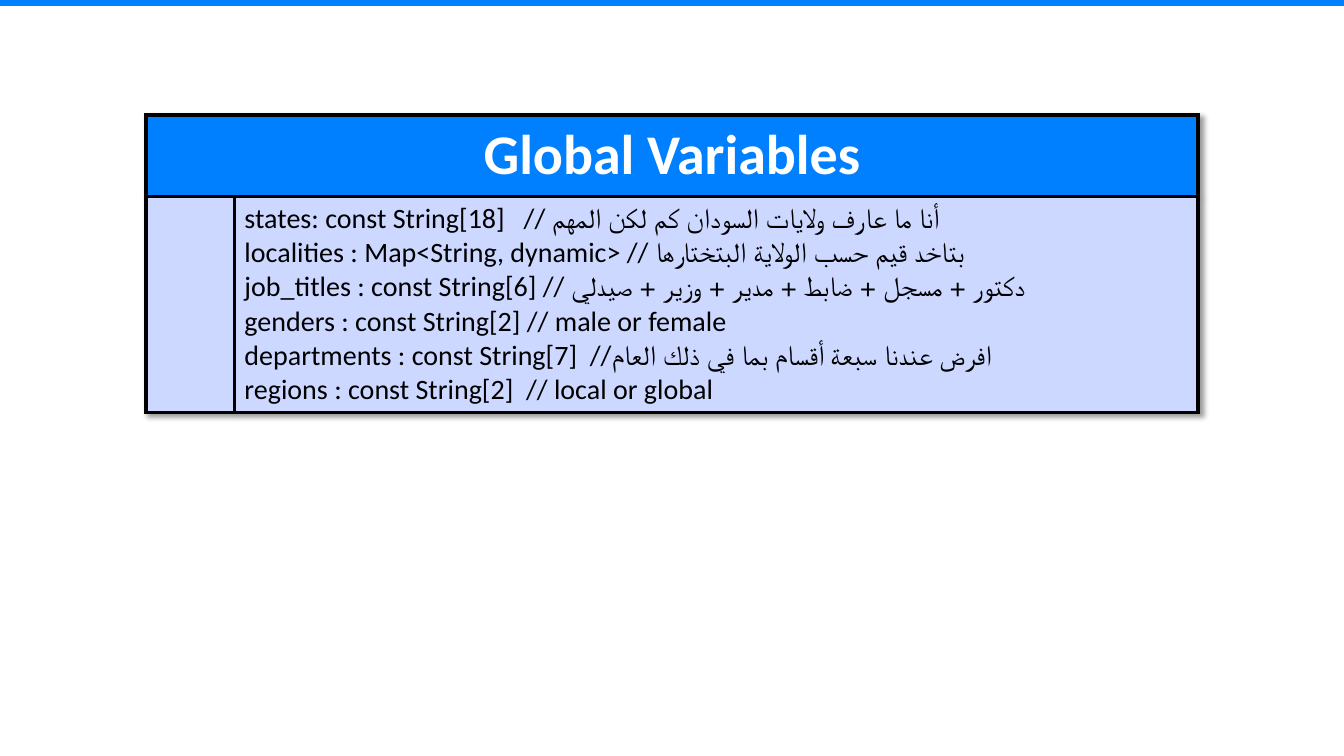
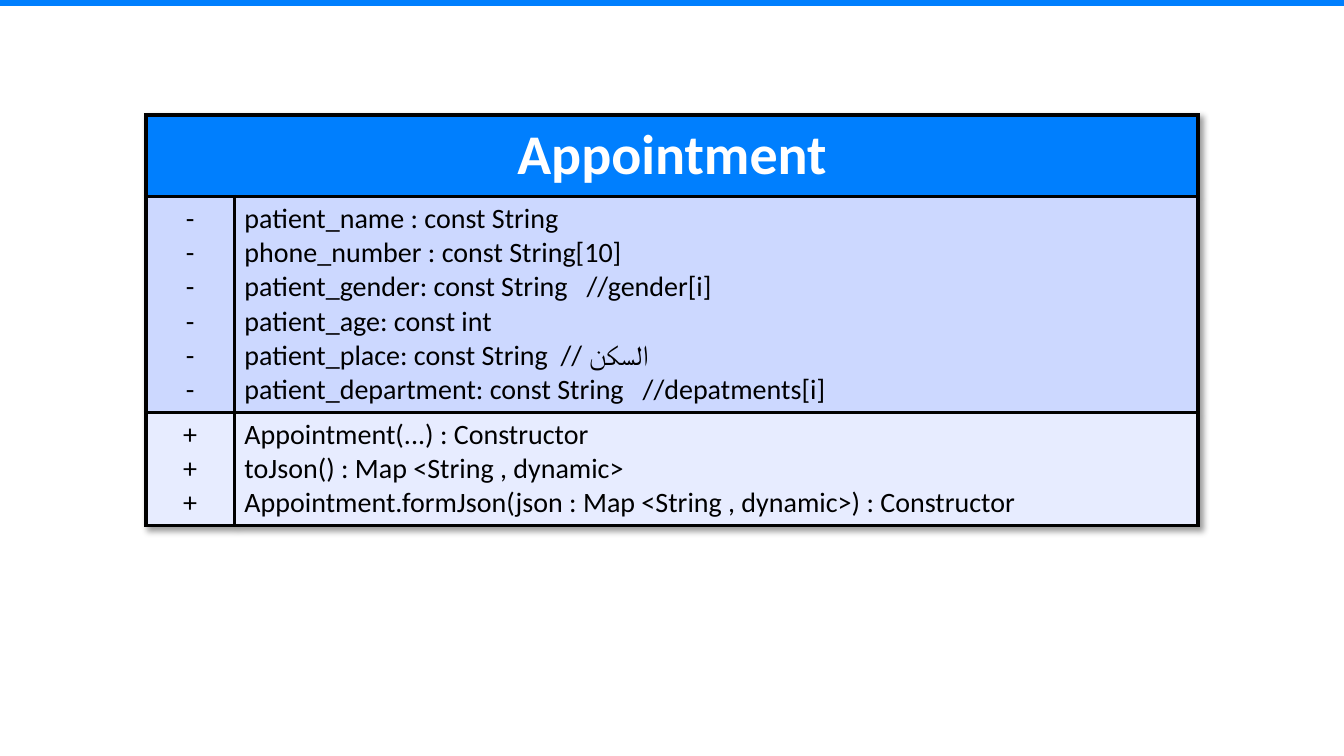
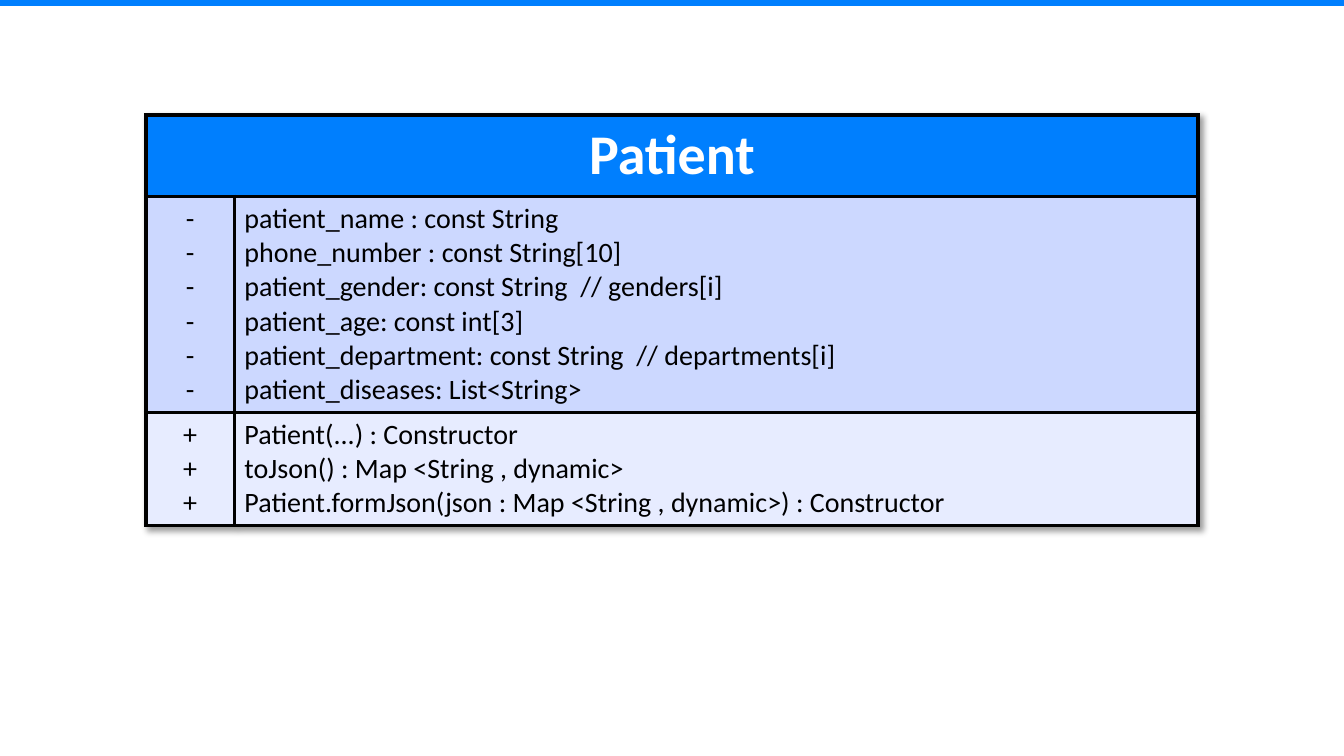
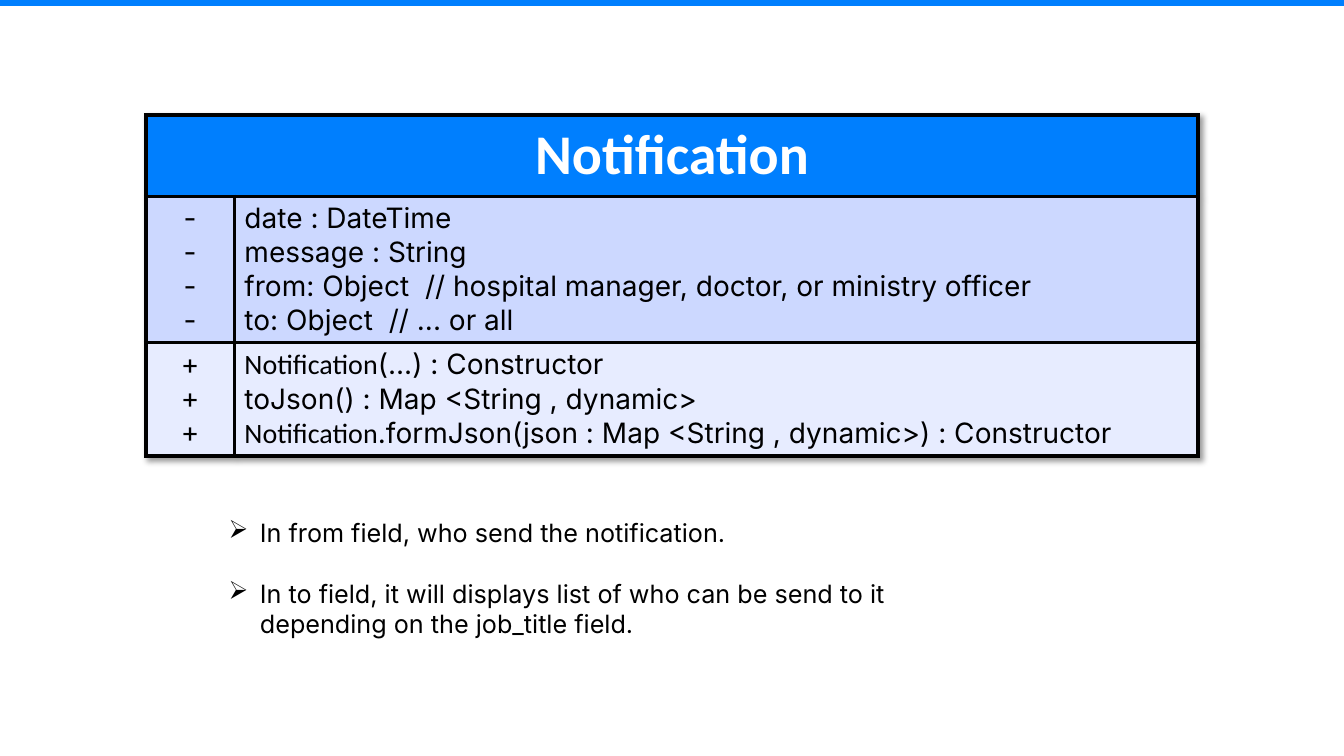
from dataclasses import dataclass

import lxml.etree
import pptx
import pptx.dml.color
import pptx.enum.shapes
import pptx.enum.text
import pptx.oxml
import pptx.oxml.ns
import pptx.presentation
import pptx.shapes.autoshape
import pptx.slide
import pptx.table
import pptx.text.text
import pptx.util

BLUE = pptx.dml.color.RGBColor(0x00, 0x7F, 0xFE)
FIELD_FILL = pptx.dml.color.RGBColor(0xCC, 0xD8, 0xFF)
METHOD_FILL = pptx.dml.color.RGBColor(0xE7, 0xEC, 0xFF)
BLACK = pptx.dml.color.RGBColor(0x00, 0x00, 0x00)
WHITE = pptx.dml.color.RGBColor(0xFF, 0xFF, 0xFF)

TITLE_FONT = "Calibri"
NOTE_FONT = "Inter"

SLIDE_WIDTH, SLIDE_HEIGHT = 13.33, 7.5
BAND_HEIGHT = 0.06
COLUMN_WIDTHS = (0.88, 9.56)
TABLE_WIDTH = sum(COLUMN_WIDTHS)
TABLE_LEFT = (SLIDE_WIDTH - TABLE_WIDTH) / 2
TABLE_TOP = 1.14
TITLE_ROW_HEIGHT = 0.81
LINE_HEIGHT = 0.33
CELL_PADDING = 0.1
BORDER_POINTS = 3
NOTE_INDENT = 0.31

SHADOW = (
    f'<a:effectLst {pptx.oxml.ns.nsdecls("a")}>'
    '<a:outerShdw blurRad="50800" dist="38100" dir="2700000" algn="tl" rotWithShape="0">'
    '<a:prstClr val="black"><a:alpha val="40000"/></a:prstClr>'
    "</a:outerShdw></a:effectLst>"
)


@dataclass(frozen=True)
class Section:
    """One row of a class box: its lines, each with the same marker."""

    marker: str
    lines: tuple[str, ...]
    fill: pptx.dml.color.RGBColor


@dataclass(frozen=True)
class ClassBox:
    title: str
    sections: tuple[Section, ...]
    font: str = TITLE_FONT
    notes: tuple[str, ...] = ()


def fields(*lines: str, marker: str = "-") -> Section:
    return Section(marker, lines, FIELD_FILL)


def methods(class_name: str) -> Section:
    """The constructor and the JSON methods that every class has."""
    return Section(
        "+",
        (
            f"{class_name}(...) : Constructor",
            "toJson() : Map <String , dynamic>",
            f"{class_name}.formJson(json : Map <String , dynamic>) : Constructor",
        ),
        METHOD_FILL,
    )


CLASS_BOXES = (
    ClassBox(
        "Global Variables",
        (
            fields(
                "states: const String[18]   // أنا ما عارف ولايات السودان كم لكن المهم",
                "localities : Map<String, dynamic> // بتاخد قيم حسب الولاية البتختارها",
                "job_titles : const String[6] // دكتور + مسجل + ضابط + مدير + وزير + صيدلي",
                "genders : const String[2] // male or female",
                "departments : const String[7]  //افرض عندنا سبعة أقسام بما في ذلك العام",
                "regions : const String[2]  // local or global",
                marker="",
            ),
        ),
    ),
    ClassBox(
        "Appointment",
        (
            fields(
                "patient_name : const String",
                "phone_number : const String[10]",
                "patient_gender: const String   //gender[i]",
                "patient_age: const int",
                "patient_place: const String  // السكن",
                "patient_department: const String   //depatments[i]",
            ),
            methods("Appointment"),
        ),
    ),
    ClassBox(
        "Patient",
        (
            fields(
                "patient_name : const String",
                "phone_number : const String[10]",
                "patient_gender: const String  // genders[i]",
                "patient_age: const int[3]",
                "patient_department: const String  // departments[i]",
                "patient_diseases: List<String>",
            ),
            methods("Patient"),
        ),
    ),
    ClassBox(
        "Notification",
        (
            fields(
                "date : DateTime",
                "message : String",
                "from: Object  // hospital manager, doctor, or ministry officer",
                "to: Object  // ... or all",
            ),
            methods("Notification"),
        ),
        font=NOTE_FONT,
        notes=(
            "In from field, who send the notification.",
            "In to field, it will displays list of who can be send to it "
            "depending on the job_title field.",
        ),
    ),
)


def style_paragraph(
    paragraph: pptx.text.text._Paragraph,
    font_name: str,
    size: int,
    color: pptx.dml.color.RGBColor = BLACK,
    bold: bool = False,
    centered: bool = False,
) -> None:
    font = paragraph.font
    font.name, font.size, font.bold = font_name, pptx.util.Pt(size), bold
    font.color.rgb = color
    alignment = pptx.enum.text.PP_ALIGN
    paragraph.alignment = alignment.CENTER if centered else alignment.LEFT


def next_paragraph(
    frame: pptx.text.text.TextFrame, index: int
) -> pptx.text.text._Paragraph:
    return frame.add_paragraph() if index else frame.paragraphs[0]


def style_cell(cell: pptx.table._Cell, fill: pptx.dml.color.RGBColor) -> None:
    """Fill the cell and draw a black border on its four sides."""
    cell.fill.solid()
    cell.fill.fore_color.rgb = fill
    properties = cell._tc.get_or_add_tcPr()
    for position, side in enumerate("LRTB"):
        border = pptx.oxml.parse_xml(
            f'<a:ln{side} {pptx.oxml.ns.nsdecls("a")} w="{pptx.util.Pt(BORDER_POINTS)}">'
            f'<a:solidFill><a:srgbClr val="{BLACK}"/></a:solidFill></a:ln{side}>'
        )
        properties.insert(position, border)


def fill_section(row: pptx.table._Row, section: Section, box: ClassBox) -> None:
    marker_cell, text_cell = row.cells
    for cell in row.cells:
        style_cell(cell, section.fill)
    for index, line in enumerate(section.lines):
        if section.marker:
            marker = next_paragraph(marker_cell.text_frame, index)
            marker.text = section.marker
            style_paragraph(marker, box.font, 20, centered=True)
        paragraph = next_paragraph(text_cell.text_frame, index)
        style_paragraph(paragraph, box.font, 20)
        if line.startswith(box.title):
            class_name = paragraph.add_run()
            class_name.text = box.title
            class_name.font.name = TITLE_FONT
        paragraph.add_run().text = line.removeprefix(box.title)


def add_class_table(slide: pptx.slide.Slide, box: ClassBox) -> None:
    heights = [TITLE_ROW_HEIGHT] + [
        LINE_HEIGHT * len(section.lines) + CELL_PADDING for section in box.sections
    ]
    inches = pptx.util.Inches
    table = slide.shapes.add_table(
        len(heights), len(COLUMN_WIDTHS),
        inches(TABLE_LEFT), inches(TABLE_TOP), inches(TABLE_WIDTH), inches(sum(heights)),
    ).table
    table.first_row = table.horz_banding = False
    table._tbl.tblPr.insert(0, pptx.oxml.parse_xml(SHADOW))
    for column, width in zip(table.columns, COLUMN_WIDTHS):
        column.width = inches(width)
    for row, height in zip(table.rows, heights):
        row.height = inches(height)

    title_cell, covered_cell = table.rows[0].cells
    for cell in (title_cell, covered_cell):
        style_cell(cell, BLUE)
    title_cell.merge(covered_cell)
    title_cell.vertical_anchor = pptx.enum.text.MSO_ANCHOR.MIDDLE
    title = title_cell.text_frame.paragraphs[0]
    title.text = box.title
    style_paragraph(title, TITLE_FONT, 40, WHITE, bold=True, centered=True)

    for index, section in enumerate(box.sections, start=1):
        fill_section(table.rows[index], section, box)


def add_notes_list(slide: pptx.slide.Slide, notes: tuple[str, ...]) -> None:
    """Add an arrow-bulleted list below the table."""
    text_box = slide.shapes.add_textbox(
        *(pptx.util.Inches(length) for length in (2.17, 5.08, 7.74, 1.31))
    )
    frame = text_box.text_frame
    frame.word_wrap = True
    for index, note in enumerate(notes):
        paragraph = next_paragraph(frame, index)
        paragraph.text = note
        style_paragraph(paragraph, NOTE_FONT, 18)
        if index:
            paragraph.space_before = pptx.util.Pt(22)
        properties = paragraph._p.get_or_add_pPr()
        indent = pptx.util.Inches(NOTE_INDENT)
        properties.set("marL", str(indent))
        properties.set("indent", str(-indent))
        bullet = lxml.etree.Element(pptx.oxml.ns.qn("a:buChar"), char="➢")
        properties.find(pptx.oxml.ns.qn("a:defRPr")).addprevious(bullet)


def add_top_band(slide: pptx.slide.Slide) -> None:
    band = slide.shapes.add_shape(
        pptx.enum.shapes.MSO_SHAPE.RECTANGLE,
        0, 0, pptx.util.Inches(SLIDE_WIDTH), pptx.util.Inches(BAND_HEIGHT),
    )
    band.shadow.inherit = False
    band.fill.solid()
    band.fill.fore_color.rgb = BLUE
    band.line.fill.background()


def add_class_slide(
    presentation: pptx.presentation.Presentation, box: ClassBox
) -> None:
    slide = presentation.slides.add_slide(presentation.slide_layouts[6])
    add_top_band(slide)
    add_class_table(slide, box)
    if box.notes:
        add_notes_list(slide, box.notes)


def main() -> None:
    presentation = pptx.Presentation()
    presentation.slide_width = pptx.util.Inches(SLIDE_WIDTH)
    presentation.slide_height = pptx.util.Inches(SLIDE_HEIGHT)
    for box in CLASS_BOXES:
        add_class_slide(presentation, box)
    presentation.save("out.pptx")


if __name__ == "__main__":
    main()
